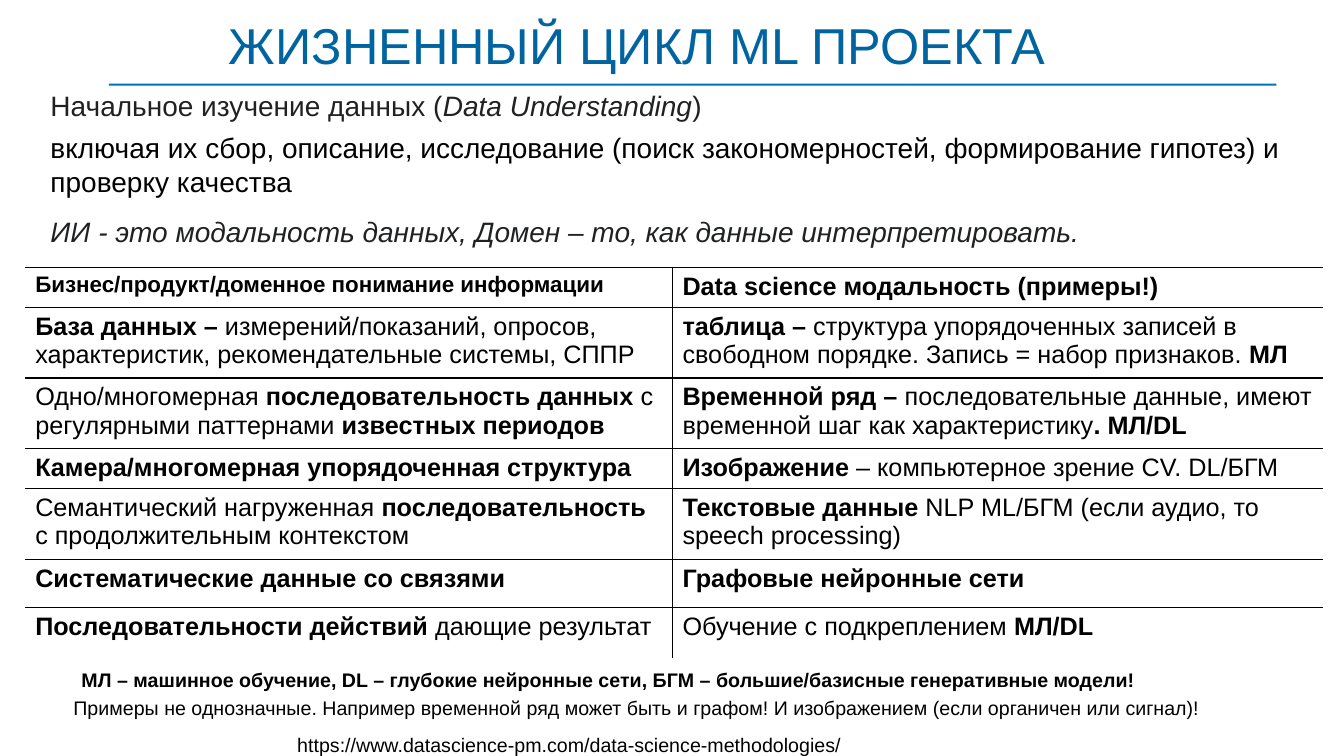
from pptx import Presentation
from pptx.dml.color import RGBColor
from pptx.enum.shapes import MSO_SHAPE
from pptx.enum.text import MSO_ANCHOR, MSO_AUTO_SIZE, PP_ALIGN
from pptx.oxml.ns import qn
from pptx.util import Inches, Pt
from lxml import etree

RECTANGLE = MSO_SHAPE.RECTANGLE
TOP = MSO_ANCHOR.TOP
LEFT = PP_ALIGN.LEFT
NO_AUTOFIT = MSO_AUTO_SIZE.NONE

INTRO = [
    ("Начальное изучение данных (*Data Understanding*)", "202122", 0),
    ("включая их сбор, описание, исследование (поиск закономерностей, "
     "формирование гипотез) и проверку качества", "000000", 0),
    ("*ИИ - это модальность данных, Домен – то, как данные интерпретировать.*",
     "202122", 6),
]

MODALITIES = [
    (0.40, "*Бизнес/продукт/доменное понимание информации*",
     "*Data science модальность (примеры!)*"),
    (0.70, "*База данных – *измерений/показаний, опросов, характеристик, "
     "рекомендательные системы, СППР",
     "*таблица – *структура упорядоченных записей в свободном порядке. "
     "Запись = набор признаков. *МЛ*"),
    (0.70, "Одно/многомерная *последовательность данных *с регулярными "
     "паттернами *известных периодов*",
     "*Временной ряд – *последовательные данные, имеют временной шаг "
     "как характеристику*. МЛ/DL*"),
    (0.40, "*Камера/многомерная упорядоченная структура*",
     "*Изображение* – компьютерное зрение CV. DL/БГМ"),
    (0.70, "Семантический нагруженная *последовательность *"
     "с продолжительным контекстом",
     "*Текстовые данные *NLP ML/БГМ (если аудио, то speech processing)"),
    (0.48, "*Систематические данные со связями*", "*Графовые нейронные сети*"),
    (0.50, "*Последовательности действий *дающие результат",
     "Обучение с подкреплением *МЛ/DL*"),
]

FOOTNOTES = [
    (0.63, 6.85, 11.47, "Примеры не однозначные. Например временной ряд может быть "
     "и графом! И изображением (если органичен или сигнал)!"),
    (0.71, 6.58, 10.68, "*МЛ – машинное обучение, DL – глубокие нейронные сети, "
     "БГМ – большие/базисные генеративные модели!*"),
    (2.85, 7.22, 5.63, "https://www.datascience-pm.com/data-science-methodologies/"),
]


def rgb(value):
    return RGBColor.from_string(value)


class LifecycleSlide:
    font_name = "Arial"
    ink = "000000"
    title_color = "0064A1"
    rule_color = "0070C0"

    def __init__(self, presentation):
        self.slide = presentation.slides.add_slide(presentation.slide_layouts[1])

    def place(self, shape, left, top, width, height):
        shape.left, shape.top = Inches(left), Inches(top)
        shape.width, shape.height = Inches(width), Inches(height)

    def set_text(self, paragraph, marked, size, color=ink, italic=False):
        paragraph.alignment = LEFT
        paragraph.font.name = self.font_name
        paragraph.font.size = Pt(size)
        paragraph.font.color.rgb = rgb(color)
        parts = [(part, index % 2 == 1)
                 for index, part in enumerate(marked.split("*")) if part]
        for part, emphasised in parts:
            run = paragraph.add_run()
            run.text = part
            font = run.font if len(parts) > 1 else paragraph.font
            if italic:
                font.italic = emphasised
            else:
                font.bold = emphasised

    def title(self, text, *box):
        heading = self.slide.shapes.title
        self.place(heading, *box)
        frame = heading.text_frame
        frame.margin_left = frame.margin_right = 0
        frame.margin_top = frame.margin_bottom = 0
        frame.vertical_anchor = TOP
        frame.auto_size = NO_AUTOFIT
        frame.paragraphs[0].line_spacing = 0.84
        self.set_text(frame.paragraphs[0], text, 36, self.title_color)

    def rule(self, *box):
        line = self.slide.shapes.add_shape(RECTANGLE, *map(Inches, box))
        line.shadow.inherit = False
        line.fill.solid()
        line.fill.fore_color.rgb = rgb(self.rule_color)
        line.line.fill.background()

    def body(self, entries, *box):
        intro = self.slide.placeholders[1]
        self.place(intro, *box)
        frame = intro.text_frame
        frame.auto_size = NO_AUTOFIT
        for index, (text, color, before) in enumerate(entries):
            paragraph = frame.add_paragraph() if index else frame.paragraphs[0]
            paragraph.space_before, paragraph.space_after = Pt(before), Pt(6)
            properties = paragraph._p.get_or_add_pPr()
            properties.set("marL", str(Inches(0.29)))
            properties.set("indent", "0")
            etree.SubElement(properties, qn("a:buNone"))
            self.set_text(paragraph, text, 20, color, italic=True)

    def border(self, cell, sides):
        properties = cell._tc.get_or_add_tcPr()
        for side in "LRTB":
            edge = etree.SubElement(properties, qn("a:ln" + side), w=str(Pt(1)))
            if side in sides:
                fill = etree.SubElement(edge, qn("a:solidFill"))
                etree.SubElement(fill, qn("a:srgbClr"), val=self.ink)
            else:
                etree.SubElement(edge, qn("a:noFill"))

    def table(self, rows, widths, left, top):
        height = sum(row[0] for row in rows)
        grid = self.slide.shapes.add_table(
            len(rows), len(widths), Inches(left), Inches(top),
            Inches(sum(widths)), Inches(height)).table
        grid.first_row = grid.horz_banding = False
        for column, width in zip(grid.columns, widths):
            column.width = Inches(width)
        for r, (row_height, *texts) in enumerate(rows):
            grid.rows[r].height = Inches(row_height)
            for c, text in enumerate(texts):
                cell = grid.cell(r, c)
                bottom = "B" if r < len(rows) - 1 else ""
                self.border(cell, "RL"[c] + "T" + bottom)
                cell.fill.background()
                self.set_text(cell.text_frame.paragraphs[0], text,
                              16 if r == c == 0 else 18)

    def footnote(self, left, top, width, text):
        box = self.slide.shapes.add_textbox(
            Inches(left), Inches(top), Inches(width), Inches(0.34))
        box.text_frame.word_wrap = False
        self.set_text(box.text_frame.paragraphs[0], text, 14)


def main():
    presentation = Presentation()
    presentation.slide_width = Inches(13.33)
    presentation.slide_height = Inches(7.5)
    page = LifecycleSlide(presentation)
    page.title("ЖИЗНЕННЫЙ ЦИКЛ ML ПРОЕКТА", 2.27, 0.24, 9.58, 0.51)
    page.rule(1.08, 0.83, 11.58, 0.02)
    page.body(INTRO, 0.11, 0.83, 12.77, 1.8)
    page.table(MODALITIES, (6.42, 6.45), 0.25, 2.65)
    for note in FOOTNOTES:
        page.footnote(*note)
    presentation.save("out.pptx")


if __name__ == "__main__":
    main()
